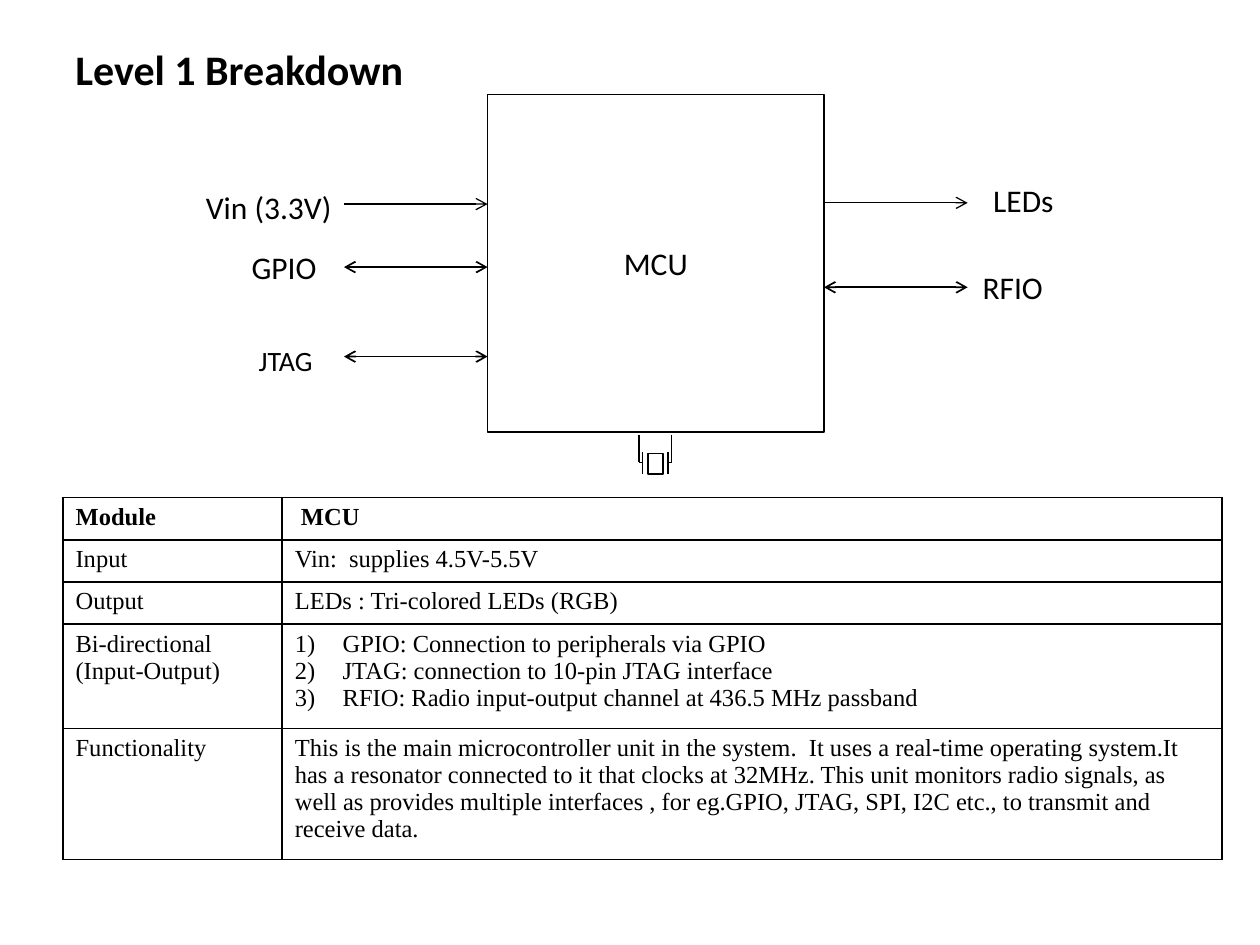
from collections import namedtuple

from lxml import etree
from pptx import Presentation
from pptx.dml.color import RGBColor
from pptx.enum.shapes import MSO_CONNECTOR, MSO_SHAPE
from pptx.enum.text import MSO_ANCHOR, PP_ALIGN
from pptx.oxml.ns import qn
from pptx.util import Inches, Pt

STRAIGHT = MSO_CONNECTOR.STRAIGHT
RECTANGLE = MSO_SHAPE.RECTANGLE
LEFT, CENTER, RIGHT = PP_ALIGN.LEFT, PP_ALIGN.CENTER, PP_ALIGN.RIGHT
TOP, MIDDLE = MSO_ANCHOR.TOP, MSO_ANCHOR.MIDDLE
BLACK, WHITE = "000000", "FFFFFF"
SANS, SERIF = "Calibri", "Times New Roman"

Box = namedtuple("Box", "left top width height")

COLUMNS = (1.74, 7.46)
ROWS = (0.33, 0.33, 0.33, 0.83, 1.04)
MODULE_TABLE = [
    ("Module", [" MCU"]),
    ("Input", ["Vin:  supplies 4.5V-5.5V"]),
    ("Output", ["LEDs : Tri-colored LEDs (RGB)"]),
    ("Bi-directional (Input-Output)", [
        "GPIO: Connection to peripherals via GPIO",
        "JTAG: connection to 10-pin JTAG interface",
        "RFIO: Radio input-output channel at 436.5 MHz passband",
    ]),
    ("Functionality", [
        "This is the main microcontroller unit in the system.  It uses a "
        "real-time operating system.It has a resonator connected to it that "
        "clocks at 32MHz. This unit monitors radio signals, as well as "
        "provides multiple interfaces , for eg.GPIO, JTAG, SPI, I2C etc., "
        "to transmit and receive data."
    ]),
]


def color(value):
    """Return the colour for a hex string."""
    return RGBColor.from_string(value)


def add_span(para, text, size, font, bold=False):
    """Add one run of black text to a paragraph."""
    span = para.add_run()
    span.text = text
    span.font.size = Pt(size)
    span.font.name = font
    span.font.bold = bold
    span.font.color.rgb = color(BLACK)


def add_box(page, box, text="", size=18, align=CENTER, anchor=MIDDLE, outlined=True):
    """Add a white rectangle with optional outline and text."""
    shape = page.shapes.add_shape(RECTANGLE, *map(Inches, box))
    shape.shadow.inherit = False
    shape.fill.solid()
    shape.fill.fore_color.rgb = color(WHITE)
    if outlined:
        shape.line.color.rgb = color(BLACK)
        shape.line.width = Pt(1)
    else:
        shape.line.fill.background()
    if text:
        frame = shape.text_frame
        frame.word_wrap = True
        frame.vertical_anchor = anchor
        para = frame.paragraphs[0]
        para.alignment = align
        add_span(para, text, size, SANS)


def add_line(page, x1, y1, x2, y2, width=1, ends=()):
    """Add a straight line with arrowheads at the named ends."""
    line = page.shapes.add_connector(STRAIGHT, *map(Inches, (x1, y1, x2, y2)))
    line.line.color.rgb = color(BLACK)
    line.line.width = Pt(width)
    outline = line.line._get_or_add_ln()
    for end in ends:
        etree.SubElement(outline, qn(f"a:{end}"), type="arrow")
    etree.SubElement(line._element.spPr, qn("a:effectLst"))


def add_title(page, box, text):
    """Place the slide title in its box."""
    frame = page.shapes.add_textbox(*map(Inches, box)).text_frame
    frame.word_wrap = True
    add_span(frame.paragraphs[0], text, 24, SANS, bold=True)


def add_signals(page, box):
    """Place signal labels and arrows on both sides of the MCU box."""
    left, top, right = box.left, box.top, box.left + box.width
    one_way, two_way = ("tailEnd",), ("headEnd", "tailEnd")
    length = 1.14
    labels = [
        ("JTAG", Box(left - 3.35, top + 1.93, 2.06, 0.67), 16, RIGHT),
        ("RFIO", Box(right + 1.16, top + 1.33, 1.07, 0.67), 18, LEFT),
        ("Vin (3.3V)", Box(left - 3, top + 0.69, 1.86, 0.67), 18, RIGHT),
        ("GPIO", Box(left - 2.61, top + 1.17, 1.35, 0.67), 18, RIGHT),
        ("LEDs", Box(right + 1.12, top + 0.64, 0.8, 0.51), 18, RIGHT),
    ]
    for text, area, size, align in labels:
        add_box(page, area, text, size, align, TOP, outlined=False)
    arrows = [
        (left - length, 0.87, 0.75, one_way),
        (left - length, 1.37, 1, two_way),
        (left - length, 2.08, 1, two_way),
        (right, 0.86, 0.75, one_way),
        (right, 1.53, 1, two_way),
    ]
    for start, drop, width, ends in arrows:
        add_line(page, start, top + drop, start + length, top + drop, width, ends)


def add_resonator(page, box):
    """Draw the resonator with its plates and leads in its box."""
    left, top, width, height = box
    add_box(page, Box(left + 0.07, top + 0.15, width - 0.14, height - 0.15))
    joint = top + 0.22
    for outer, plate in ((left, left + 0.03), (left + width, left + width - 0.03)):
        add_line(page, plate, top + 0.14, plate, top + height)
        add_line(page, outer, top, outer, joint)
        add_line(page, outer, joint, plate, joint)


def add_border(cell):
    """Give a cell a thin black border on all sides."""
    properties = cell._tc.get_or_add_tcPr()
    for index, side in enumerate(("lnL", "lnR", "lnT", "lnB")):
        edge = etree.Element(qn(f"a:{side}"), w=str(Pt(1)))
        fill = etree.SubElement(edge, qn("a:solidFill"))
        etree.SubElement(fill, qn("a:srgbClr"), val=BLACK)
        properties.insert(index, edge)


def add_number(para):
    """Number a paragraph and give it a hanging indent."""
    properties = para._p.get_or_add_pPr()
    properties.set("marL", str(Inches(0.38)))
    properties.set("indent", str(Inches(-0.38)))
    etree.SubElement(properties, qn("a:buAutoNum"), type="arabicParenR")


def fill_cell(cell, lines, bold):
    """Write lines into a bordered cell, numbered when there are several."""
    cell.fill.background()
    add_border(cell)
    frame = cell.text_frame
    for index, text in enumerate(lines):
        para = frame.add_paragraph() if index else frame.paragraphs[0]
        if len(lines) > 1:
            add_number(para)
        add_span(para, text, 14, SERIF, bold)


def add_module_table(page, box):
    """Place the module description table in its box."""
    table = page.shapes.add_table(len(ROWS), len(COLUMNS), *map(Inches, box)).table
    table.first_row = table.horz_banding = False
    for column, width in zip(table.columns, COLUMNS):
        column.width = Inches(width)
    for index, (heading, lines) in enumerate(MODULE_TABLE):
        table.rows[index].height = Inches(ROWS[index])
        fill_cell(table.cell(index, 0), [heading], index == 0)
        fill_cell(table.cell(index, 1), lines, index == 0)


def main():
    """Build and save the slide."""
    deck = Presentation()
    deck.slide_width, deck.slide_height = Inches(10), Inches(7.5)
    page = deck.slides.add_slide(deck.slide_layouts[6])
    unit = Box(3.87, 0.75, 2.67, 2.68)
    add_title(page, Box(0.5, 0.3, 3.55, 0.5), "Level 1 Breakdown")
    add_module_table(page, Box(0.5, 3.95, sum(COLUMNS), sum(ROWS)))
    add_box(page, unit, "MCU")
    add_signals(page, unit)
    add_resonator(page, Box(5.07, 3.45, 0.26, 0.31))
    deck.save("out.pptx")


if __name__ == "__main__":
    main()
